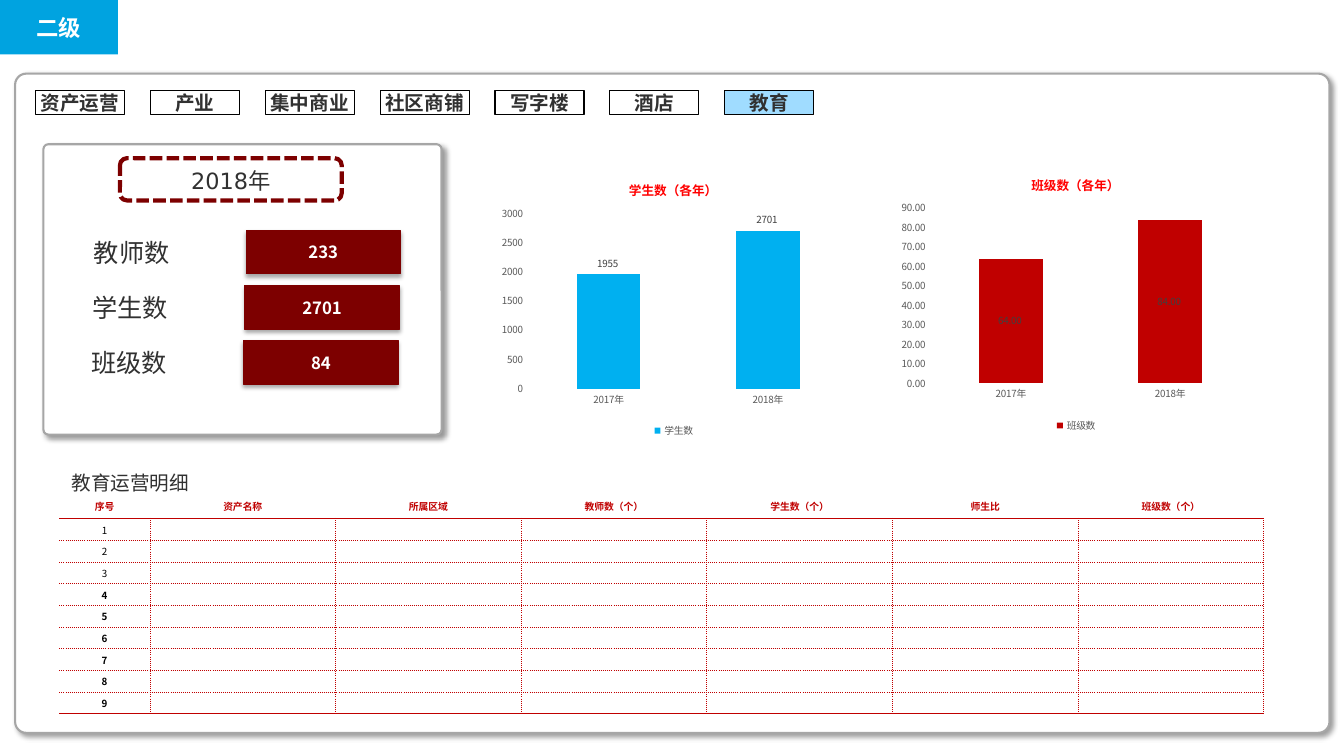
from lxml.etree import SubElement
from pptx import Presentation
from pptx.chart.data import CategoryChartData
from pptx.dml.color import RGBColor
from pptx.enum.chart import XL_CHART_TYPE, XL_LABEL_POSITION, XL_LEGEND_POSITION, XL_TICK_MARK
from pptx.enum.dml import MSO_LINE
from pptx.enum.shapes import MSO_SHAPE
from pptx.enum.text import MSO_ANCHOR, PP_ALIGN
from pptx.oxml import parse_xml
from pptx.oxml.ns import nsdecls, qn
from pptx.util import Pt

WHITE = RGBColor(0xFF, 0xFF, 0xFF)
BLACK = RGBColor(0, 0, 0)
INK = RGBColor(0x31, 0x31, 0x31)
DARK = RGBColor(0x40, 0x40, 0x40)
SLATE = RGBColor(0x59, 0x59, 0x59)
GREY = RGBColor(0xA6, 0xA6, 0xA6)
TEAL = RGBColor(0x00, 0xA3, 0xE0)
SKY = RGBColor(0x00, 0xB0, 0xF0)
PALE = RGBColor(0xA0, 0xDC, 0xFF)
MAROON = RGBColor(0x7D, 0, 0)
CRIMSON = RGBColor(0xC0, 0, 0)
RED = RGBColor(0xFF, 0, 0)
SANS, NOTO = "DejaVu Sans", "Noto Sans CJK SC"

TABS = ["资产运营", "产业", "集中商业", "社区商铺", "写字楼", "酒店", "教育"]
ACTIVE = "教育"
STATS = [("教师数", "233"), ("学生数", "2701"), ("班级数", "84")]
YEARS = ["2017年", "2018年"]
# title, series, values, colour, kind, number format, axis top, axis step, left, top
CHARTS = [
    ("学生数（各年）", "学生数", [1955, 2701], SKY, XL_CHART_TYPE.COLUMN_CLUSTERED,
     "0_ ", 3000, 500, 352, 116.7),
    ("班级数（各年）", "班级数", [64, 84], CRIMSON, XL_CHART_TYPE.COLUMN_STACKED,
     "0.00_ ", 90, 10, 639.4, 113),
]
HEADS = ["序号", "资产名称", "所属区域", "教师数（个）", "学生数（个）", "师生比", "班级数（个）"]
ROWS = 9
PLAIN = 3  # leading row numbers that are not bold

PANEL_SHADE = (40, 4, 3, 45)
BAR_SHADE = (35, 3.1, 1.8, 90)

deck = Presentation()
deck.slide_width, deck.slide_height = Pt(960), Pt(540)
slide = deck.slides.add_slide(deck.slide_layouts[6])


def write(frame, text, size, color, font, bold=False, align=PP_ALIGN.CENTER, space=None):
    para = frame.paragraphs[0]
    para.alignment = align
    para.line_spacing = space
    run = para.add_run()
    run.text = text
    run.font.size, run.font.bold, run.font.name = Pt(size), bold, font
    run.font.color.rgb = color
    SubElement(run.font._element, qn("a:ea")).set("typeface", NOTO)


def pad(frame, inset):
    frame.margin_left = frame.margin_right = Pt(inset)
    frame.margin_top = frame.margin_bottom = Pt(inset)


def box(kind, place, fill=None, line=None, width=0.75, shade=None):
    """Add a shape; shade is opacity %, blur, distance and angle."""
    shape = slide.shapes.add_shape(kind, *map(Pt, place))
    shape.shadow.inherit = False
    if fill is None:
        shape.fill.background()
    else:
        shape.fill.solid()
        shape.fill.fore_color.rgb = fill
    if line is None:
        shape.line.fill.background()
    else:
        shape.line.color.rgb, shape.line.width = line, Pt(width)
    if shade:
        alpha, blur, dist, angle = shade
        glow = SubElement(shape._element.spPr.find(qn("a:effectLst")), qn("a:outerShdw"),
                          blurRad=str(Pt(blur)), dist=str(Pt(dist)),
                          dir=str(angle * 60000), algn="t", rotWithShape="0")
        tint = SubElement(glow, qn("a:srgbClr"), val="000000")
        SubElement(tint, qn("a:alpha"), val=str(alpha * 1000))
    shape.text_frame.vertical_anchor = MSO_ANCHOR.MIDDLE
    return shape


def label(place, text, size, align):
    frame = slide.shapes.add_textbox(*map(Pt, place)).text_frame
    frame.word_wrap = False
    write(frame, text, size, INK, SANS, align=align, space=1.06)


def panel(place):
    box(MSO_SHAPE.ROUNDED_RECTANGLE, place, WHITE, GREY, 1.5, PANEL_SHADE).adjustments[0] = 0.017


def style(font, size, color, bold=False):
    font.size, font.bold, font.name = Pt(size), bold, NOTO
    font.color.rgb = color


def arrange(node, inner=False, **spots):
    """Fix the place of a chart part, in fractions of the chart."""
    for old in node.findall(qn("c:layout")):
        node.remove(old)
    target = '<c:layoutTarget val="inner"/>' if inner else ""
    modes = "".join(f'<c:{key}Mode val="edge"/>' for key in "xy")
    sizes = "".join(f'<c:{key} val="{val}"/>' for key, val in spots.items())
    return parse_xml(f'<c:layout {nsdecls("c")}><c:manualLayout>{target}{modes}{sizes}'
                     '</c:manualLayout></c:layout>')


def plot(title, name, vals, color, kind, form, top, step, left, high):
    data = CategoryChartData(number_format=form)
    data.categories = YEARS
    data.add_series(name, vals)
    chart = slide.shapes.add_chart(kind, Pt(left), Pt(high), Pt(258.5), Pt(198.7), data).chart
    style(chart.font, 7, BLACK)
    chart.has_title = True
    write(chart.chart_title.text_frame, title, 9, RED, NOTO, True)
    head = chart.chart_title._element
    head.find(qn("c:tx")).addnext(arrange(head, x=0.37, y=0.05))
    area = chart._chartSpace.chart.plotArea
    area.insert(0, arrange(area, True, x=0.1, y=0.18, w=0.88, h=0.63))
    chart.has_legend = True
    chart.legend.position = XL_LEGEND_POSITION.BOTTOM
    chart.legend.include_in_layout = False
    style(chart.legend.font, 7, SLATE)
    for axis in (chart.category_axis, chart.value_axis):
        axis.major_tick_mark = axis.minor_tick_mark = XL_TICK_MARK.NONE
        axis.has_major_gridlines = False
        axis.format.line.fill.background()
        style(axis.tick_labels.font, 7, SLATE)
    scale = chart.value_axis
    scale.minimum_scale, scale.maximum_scale, scale.major_unit = 0, top, step
    bars = chart.plots[0]
    bars.gap_width, bars.vary_by_categories = 150, False
    bars.has_data_labels = True
    tags = bars.data_labels
    tags.show_value = True
    stacked = kind == XL_CHART_TYPE.COLUMN_STACKED
    tags.position = XL_LABEL_POSITION.CENTER if stacked else XL_LABEL_POSITION.OUTSIDE_END
    style(tags.font, 7, DARK)
    for part in (scale.tick_labels, tags):
        part.number_format, part.number_format_is_linked = form, False
    fill = bars.series[0].format.fill
    fill.solid()
    fill.fore_color.rgb = color


def edge(cell, side, width, dash="solid"):
    """Draw one cell border; a width of 0 hides it."""
    line = SubElement(cell._tc.get_or_add_tcPr(), qn(f"a:ln{side}"), w=str(Pt(width)))
    if not width:
        SubElement(line, qn("a:noFill"))
        return
    SubElement(SubElement(line, qn("a:solidFill")), qn("a:srgbClr"), val=str(CRIMSON))
    SubElement(line, qn("a:prstDash"), val=dash)


def grid():
    table = slide.shapes.add_table(ROWS + 1, len(HEADS), Pt(42.3), Pt(352.4),
                                   Pt(860.4), Pt(157.5)).table
    table.first_row = table.horz_banding = False
    for num, col in enumerate(table.columns):
        col.width = Pt(132.6 if num else 64.8)
    for num, row in enumerate(table.rows):
        row.height = Pt(15.5 if num else 18)
        for pos, cell in enumerate(row.cells):
            cell.margin_left = cell.margin_right = cell.margin_top = Pt(0.7)
            cell.margin_bottom = 0
            cell.vertical_anchor = MSO_ANCHOR.MIDDLE
            edge(cell, "L", 0.5 if num and pos else 0, "sysDot")
            edge(cell, "R", 0.5 if num else 0, "sysDot")
            edge(cell, "T", (0, 1)[num] if num < 2 else 0.5, "solid" if num < 2 else "sysDot")
            edge(cell, "B", 0.5 if num else 1, "sysDot" if 0 < num < ROWS else "solid")
            cell.fill.background()
            if num == 0:
                write(cell.text_frame, HEADS[pos], 7, CRIMSON, NOTO, True)
            elif pos == 0:
                write(cell.text_frame, str(num), 7, BLACK, NOTO, num > PLAIN)
            else:
                SubElement(cell.text_frame.paragraphs[0]._p, qn("a:endParaRPr"), sz="700")


panel((10.8, 52.6, 938.9, 470.9))
panel((31, 103, 284.4, 207.4))

badge = box(MSO_SHAPE.RECTANGLE, (0, 0, 84.2, 38.9), TEAL)
write(badge.text_frame, "二级", 16, WHITE, NOTO, True, space=1.06)

year = box(MSO_SHAPE.ROUNDED_RECTANGLE, (85.7, 113, 158.4, 30.2), None, MAROON, 3)
year.line.dash_style = MSO_LINE.SQUARE_DOT
write(year.text_frame, "2018年", 16, INK, SANS, space=1.06)

for num, name in enumerate(TABS):
    tab = box(MSO_SHAPE.RECTANGLE, (25.2 + 82.1 * num, 64.8, 63.6, 17),
              PALE if name == ACTIVE else None, BLACK)
    pad(tab.text_frame, 0)
    write(tab.text_frame, name, 14, INK, SANS, True)

grid()

for num, (name, value) in enumerate(STATS):
    high = 164.7 + 39.4 * num
    bar = box(MSO_SHAPE.RECTANGLE, (175.8 - 0.8 * num, high, 110.2, 31),
              MAROON, MAROON, shade=BAR_SHADE)
    bar.text_frame.word_wrap = False
    write(bar.text_frame, value, 12, WHITE, NOTO, True)
    label((59.6 - num, high, 69, 30.2), name, 18, PP_ALIGN.CENTER)

for item in CHARTS:
    plot(*item)
label((43.9, 332, 99.4, 25.2), "教育运营明细", 14, PP_ALIGN.LEFT)

deck.save("out.pptx")
